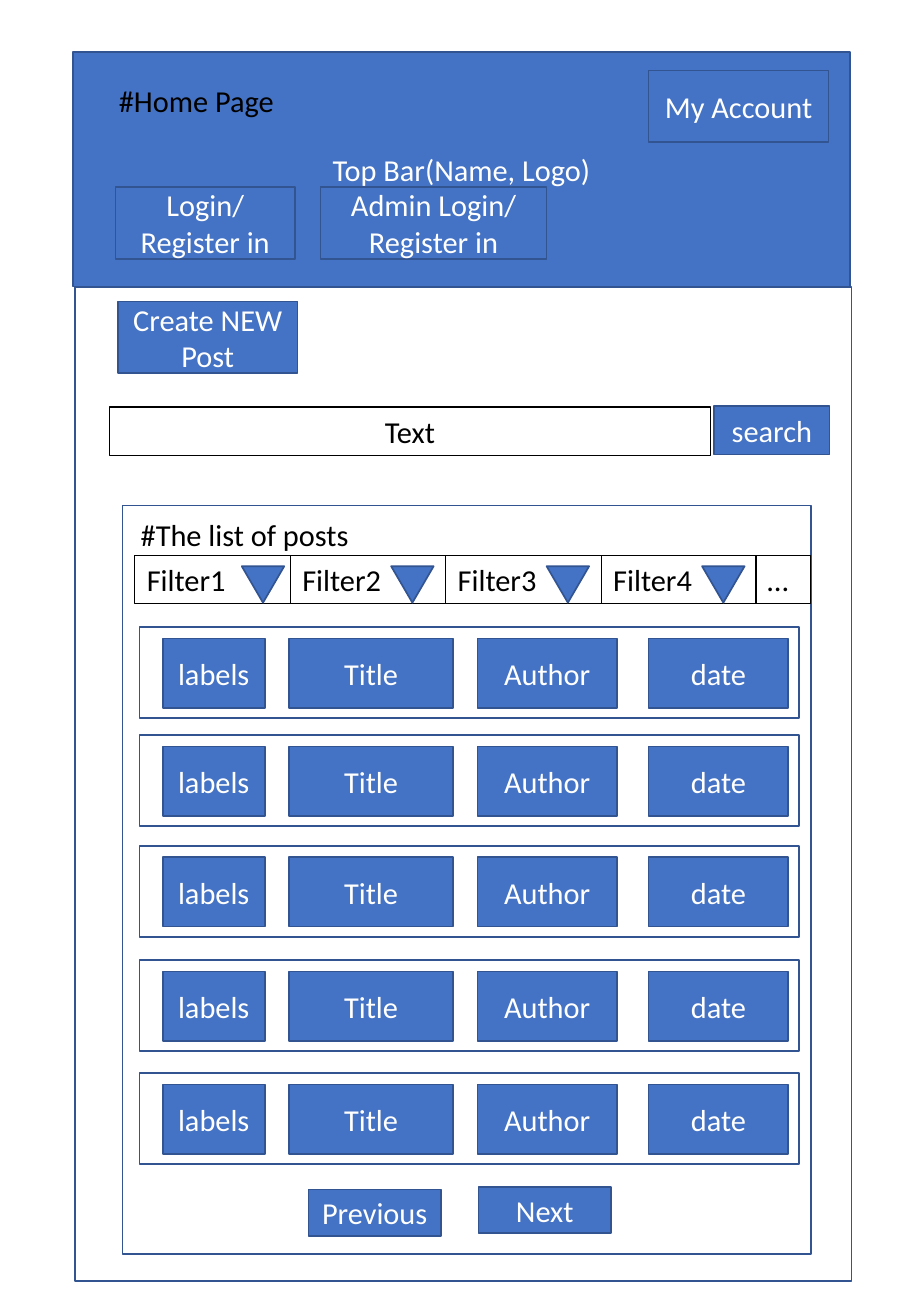
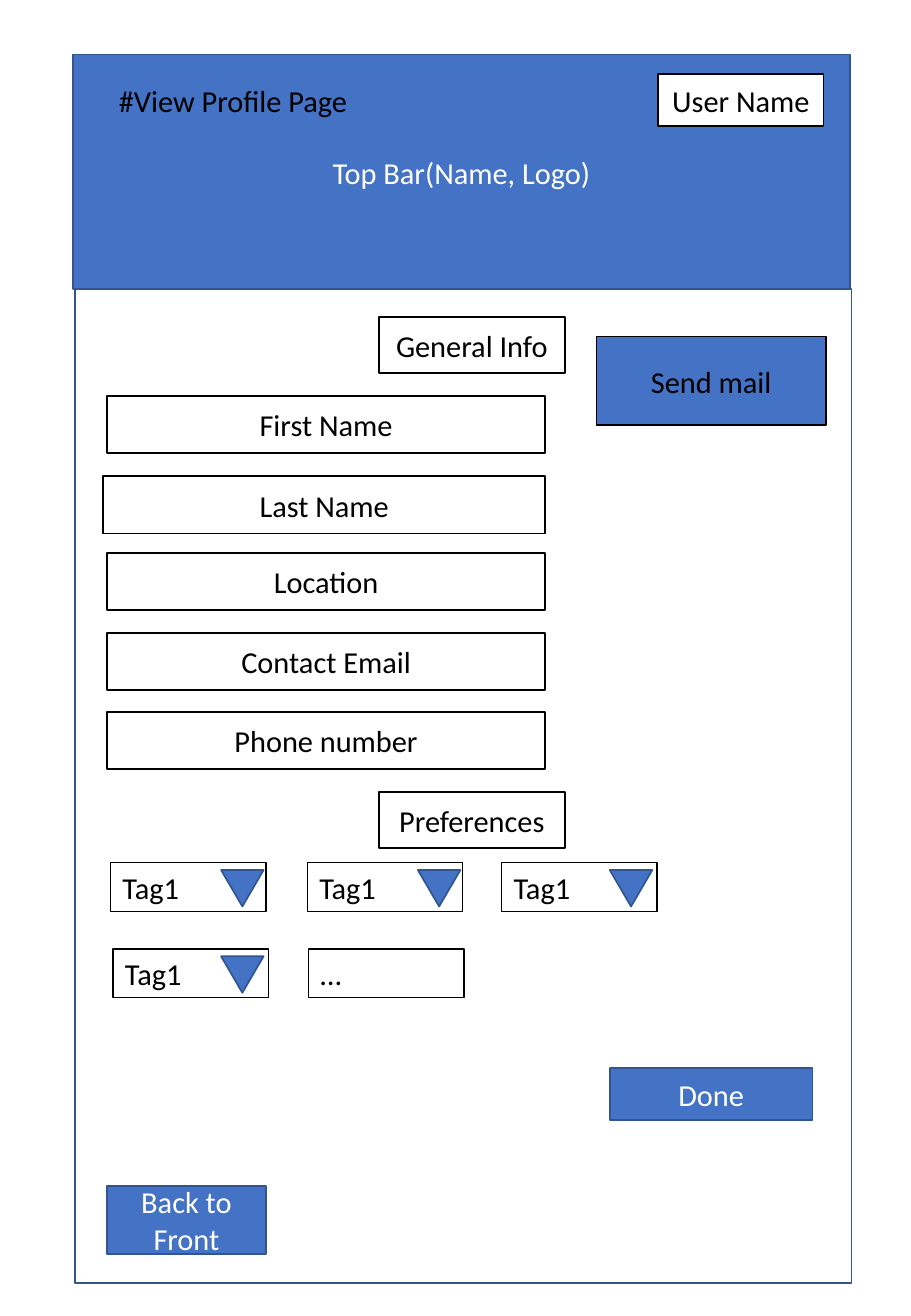
"""Build two page wireframes, a home page and a profile page, on a grid."""
from dataclasses import dataclass
from typing import Any, Optional

from pptx import Presentation
from pptx.dml.color import RGBColor
from pptx.enum.shapes import MSO_SHAPE
from pptx.enum.text import MSO_ANCHOR, MSO_AUTO_SIZE, PP_ALIGN
from pptx.util import Inches, Pt

RECT, ARROW = MSO_SHAPE.RECTANGLE, MSO_SHAPE.ISOSCELES_TRIANGLE
TOP, MIDDLE = MSO_ANCHOR.TOP, MSO_ANCHOR.MIDDLE
LEFT, CENTER = PP_ALIGN.LEFT, PP_ALIGN.CENTER
GROW, FIXED = MSO_AUTO_SIZE.SHAPE_TO_FIT_TEXT, MSO_AUTO_SIZE.NONE

BLUE = RGBColor(0x44, 0x72, 0xC4)
NAVY = RGBColor(0x32, 0x54, 0x91)
BLACK = RGBColor(0, 0, 0)
WHITE = RGBColor(255, 255, 255)

WIDTH, HEIGHT = Inches(7.5), Inches(10.83)
COL, ROW = WIDTH / 75, HEIGHT / 108.3
FONT = {"name": "Calibri", "size": Pt(18)}


@dataclass(frozen=True)
class Style:
    """Look of a box."""
    fill: Optional[RGBColor]
    line: Optional[RGBColor]
    ink: RGBColor
    weight: float = 1
    align: Any = CENTER
    anchor: Any = MIDDLE
    size: Any = FIXED
    wrap: bool = True


@dataclass(frozen=True)
class Box:
    """Text, place in columns and rows, and look."""
    text: str
    left: float
    top: float
    width: float
    height: float
    style: Style


@dataclass(frozen=True)
class Menu:
    """Drop-down field whose arrow is set off from its corner."""
    text: str
    left: float
    top: float
    shift: float
    drop: float


BUTTON = Style(BLUE, NAVY, WHITE)
FRAME = Style(None, NAVY, BLACK)
PLATE = Style(WHITE, BLACK, BLACK)
MAIL = Style(BLUE, BLACK, BLACK)
ENTRY = Style(None, BLACK, BLACK, 0.75, CENTER, TOP, GROW)
FIELD = Style(None, BLACK, BLACK, 0.75, LEFT, TOP, GROW)
LABEL = Style(None, None, BLACK, 0, LEFT, TOP, GROW, False)

MENU_W, MENU_H = 12.8, 4
POSTS = (51.6, 60.5, 69.6, 79, 88.3)
TILES = (("labels", 13.4, 8.4), ("Title", 23.8, 13.5),
         ("Author", 39.3, 11.5), ("date", 53.4, 11.5))
SHIFTS = (8.8, 8.3, 8.3, 8.3)
INFO = (("First Name", 8.8, 32.6), ("Last Name", 8.5, 39.2),
        ("Location", 8.8, 45.5), ("Contact Email", 8.8, 52.1),
        ("Phone number", 8.8, 58.6))
INFO_END = 44.9

HOME = (
    Box("Login/\nRegister in", 9.5, 15.4, 14.8, 5.9, BUTTON),
    Box("Admin Login/\nRegister in", 26.4, 15.4, 18.6, 5.9, BUTTON),
    Box("My Account", 53.4, 5.8, 14.8, 5.9, BUTTON),
    Box("Create NEW Post", 9.7, 24.8, 14.8, 5.9, BUTTON),
    Box("Text", 9, 33.5, 49.5, 4, ENTRY),
    Box("search", 58.8, 33.4, 9.5, 4, BUTTON),
    Box("", 10.1, 41.6, 56.7, 61.6, FRAME),
    Box("#The list of posts", 10.6, 42, 19.3, 4, LABEL),
    Box("…", 62.2, 45.7, 4.5, MENU_H, FIELD),
    Box("Previous", 25.4, 97.9, 10.9, 3.8, BUTTON),
    Box("Next", 39.4, 97.7, 10.9, 3.8, BUTTON),
)
FILTERS = tuple(Menu(f"Filter{i + 1}", 11.1 + i * MENU_W, 45.7, shift, 0.9)
                for i, shift in enumerate(SHIFTS))

PROFILE = (
    Box("User Name", 54.2, 6.1, 13.6, 4.3, PLATE),
    Box("General Info", 31.2, 26.1, 15.3, 4.6, PLATE),
    Box("Send mail", 49.1, 27.7, 18.9, 7.3, MAIL),
    Box("Preferences", 31.2, 65.2, 15.3, 4.6, PLATE),
    Box("…", 25.4, 78.1, MENU_W, MENU_H, FIELD),
    Box("Done", 50.2, 87.9, 16.7, 4.3, BUTTON),
    Box("Back to Front", 8.8, 97.6, 13.1, 5.6, BUTTON),
)
TAGS = tuple(Menu("Tag1", left, top, shift, 0.6) for left, top, shift in
             ((9.1, 71, 9.1), (25.3, 71, 9.1), (41.3, 71, 8.9),
              (9.3, 78.1, 8.9)))


def assign(target: Any, values: dict) -> None:
    """Set each named attribute."""
    for name, value in values.items():
        setattr(target, name, value)


def place(left: float, top: float, width: float, height: float) -> list:
    """Turn grid units into lengths."""
    return [round(left * COL), round(top * ROW),
            round(width * COL), round(height * ROW)]


def paint(shape: Any, look: Style) -> None:
    """Give a shape its fill and line."""
    shape.shadow.inherit = False
    if look.fill is None:
        shape.fill.background()
    else:
        shape.fill.solid()
        shape.fill.fore_color.rgb = look.fill
    shape.line.color.rgb = look.line
    shape.line.width = Pt(look.weight)


def draw(slide: Any, box: Box) -> None:
    """Draw a box with its text."""
    look = box.style
    spot = place(box.left, box.top, box.width, box.height)
    if look.line is None:
        shape = slide.shapes.add_textbox(*spot)
    else:
        shape = slide.shapes.add_shape(RECT, *spot)
        paint(shape, look)
    if not box.text:
        return
    frame = shape.text_frame
    frame.text = box.text
    assign(frame, {"word_wrap": look.wrap, "auto_size": look.size,
                   "vertical_anchor": look.anchor})
    for para in frame.paragraphs:
        para.alignment = look.align
        for run in para.runs:
            assign(run.font, FONT)
            run.font.color.rgb = look.ink


def pick(slide: Any, menu: Menu) -> None:
    """Draw a drop-down field and its arrow."""
    draw(slide, Box(menu.text, menu.left, menu.top, MENU_W, MENU_H, FIELD))
    spot = place(menu.left + menu.shift, menu.top + menu.drop, 3.5, 3)
    arrow = slide.shapes.add_shape(ARROW, *spot)
    arrow.rotation = 180
    paint(arrow, BUTTON)


def post(slide: Any, top: float) -> None:
    """Draw one row of the post list."""
    draw(slide, Box("", 11.5, top, 54.3, 7.5, FRAME))
    for text, left, width in TILES:
        draw(slide, Box(text, left, top + 0.95, width, 5.7, BUTTON))


def page(deck: Any, title: str, top: float, width: float,
         boxes: tuple, menus: tuple) -> Any:
    """Add a page with top bar, frame, title, boxes and menus."""
    slide = deck.slides.add_slide(deck.slide_layouts[6])
    draw(slide, Box("Top Bar(Name, Logo)", 6, top, 64, 19.3, BUTTON))
    draw(slide, Box("", 6.2, top + 19.3, 63.9, 81.8, FRAME))
    draw(slide, Box(title, 8.8, 6.3, width, 4, LABEL))
    for box in boxes:
        draw(slide, box)
    for menu in menus:
        pick(slide, menu)
    return slide


def main() -> None:
    """Build and save both pages."""
    deck = Presentation()
    assign(deck, {"slide_width": WIDTH, "slide_height": HEIGHT})
    home = page(deck, "#Home Page", 4.3, 14.9, HOME, FILTERS)
    for top in POSTS:
        post(home, top)
    profile = page(deck, "#View Profile Page", 4.5, 21.1, PROFILE, TAGS)
    for text, left, top in INFO:
        draw(profile, Box(text, left, top, INFO_END - left, 4.7, PLATE))
    deck.save("out.pptx")


main()
